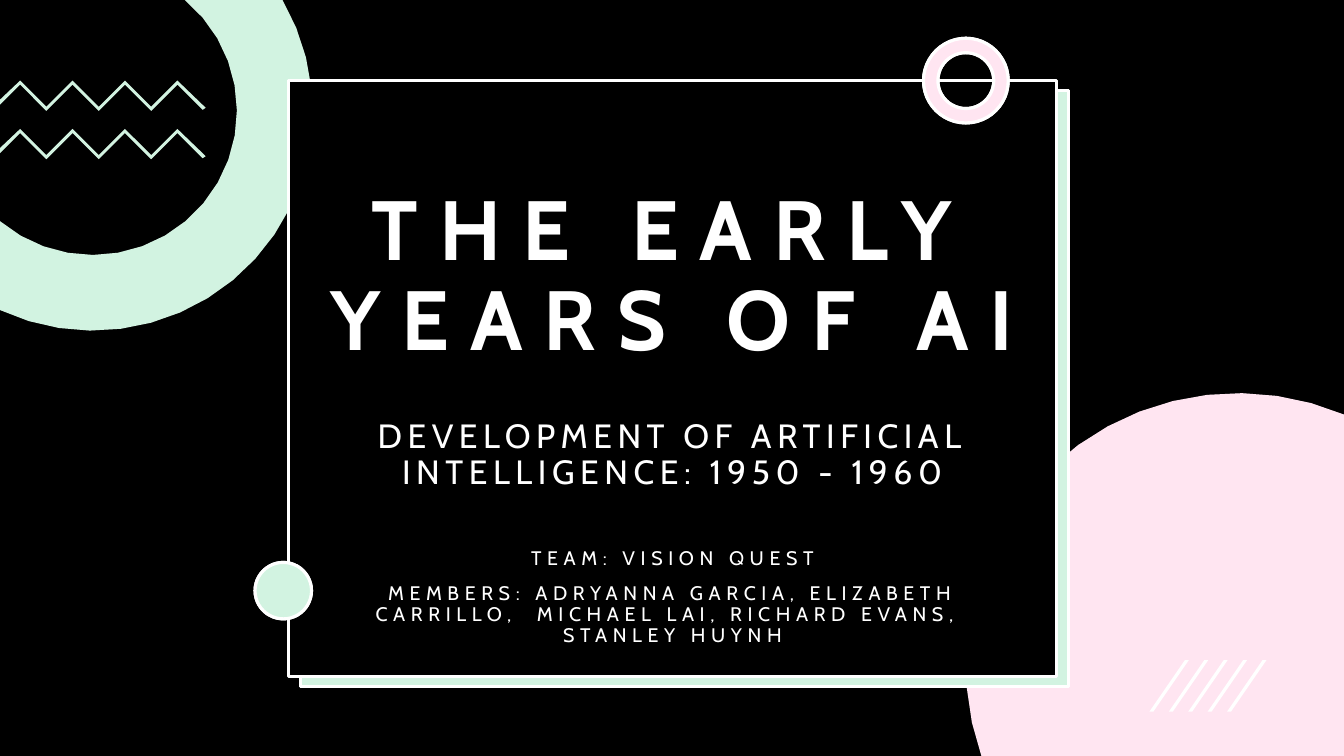
import math
from dataclasses import dataclass

import pptx
import pptx.dml.color
import pptx.enum.shapes
import pptx.enum.text
import pptx.oxml
import pptx.oxml.ns
import pptx.util

Inches = pptx.util.Inches
Pt = pptx.util.Pt
PRESET = pptx.enum.shapes.MSO_SHAPE
ANCHOR = pptx.enum.text.MSO_ANCHOR
SLIDE_WIDTH, SLIDE_HEIGHT = 13.33, 7.5


@dataclass(frozen=True)
class Theme:
    font: str = "Cabin"
    black: str = "000000"
    white: str = "FFFFFF"
    green: str = "21C46B"
    pink: str = "FF80BD"
    tint_percent: int = 20
    line_width: float = 2.25
    title_size: int = 60
    subtitle_size: int = 24
    team_size: int = 14
    title_tracking: int = 15
    text_tracking: int = 4


def arc(center_x, center_y, radius, start, end, steps=18):
    """Points along an arc; angles in degrees, clockwise from the right."""
    angles = [math.radians(start + (end - start) * i / steps) for i in range(steps + 1)]
    return [(center_x + radius * math.cos(angle), center_y + radius * math.sin(angle))
            for angle in angles]


def zigzag(top):
    """Outline of a zigzag ribbon that starts at the left edge."""
    turns = [(0.2 + 0.26 * i, top + 0.26 * (i % 2)) for i in range(7)]
    lower = [(x, y + 0.04) for x, y in reversed(turns)]
    return [(0, top + 0.19), *turns, (2.04, top + 0.27),
            (2.01, top + 0.29), *lower, (0, top + 0.24)]


class SlideBuilder:
    def __init__(self, slide, theme):
        self.slide = slide
        self.theme = theme
        background = slide.background.fill
        background.solid()
        background.fore_color.rgb = self.color(theme.black)

    def color(self, value):
        return pptx.dml.color.RGBColor.from_string(value)

    def paint(self, shape, fill, outlined=False, percent=100):
        shape.shadow.inherit = False
        shape.fill.solid()
        shape.fill.fore_color.rgb = self.color(fill)
        if percent < 100:
            color_element = shape.element.spPr.find(".//" + pptx.oxml.ns.qn("a:srgbClr"))
            color_element.append(pptx.oxml.parse_xml(
                '<a:alpha xmlns:a="http://schemas.openxmlformats.org/drawingml/2006/main"'
                f' val="{percent * 1000}"/>'))
        if outlined:
            shape.line.color.rgb = self.color(self.theme.white)
            shape.line.width = Pt(self.theme.line_width)
        else:
            shape.line.fill.background()

    def preset(self, kind, box, fill, outlined=False, percent=100, adjustment=None, parent=None):
        shapes = (parent or self.slide).shapes
        shape = shapes.add_shape(kind, *map(Inches, box))
        if adjustment is not None:
            shape.adjustments[0] = adjustment
        self.paint(shape, fill, outlined, percent)

    def outline(self, points, fill, percent=100):
        first, *others = [(Inches(x), Inches(y)) for x, y in points]
        builder = self.slide.shapes.build_freeform(*first)
        builder.add_line_segments(others, close=True)
        self.paint(builder.convert_to_shape(), fill, percent=percent)

    def layers(self, tint):
        """A white base and the translucent tint over it."""
        return (self.theme.white, 100), (tint, self.theme.tint_percent)

    def tinted_preset(self, kind, box, tint, adjustment=None):
        for fill, percent in self.layers(tint):
            self.preset(kind, box, fill, True, percent, adjustment)

    def tinted_outline(self, points, tint):
        for fill, percent in self.layers(tint):
            self.outline(points, fill, percent)

    def text(self, shape, box, lines, size, tracking, bold=False, before=10, anchor=ANCHOR.TOP):
        shape.left, shape.top, shape.width, shape.height = map(Inches, box)
        frame = shape.text_frame
        frame.text = "\n".join(lines)
        frame.word_wrap = True
        frame.auto_size = pptx.enum.text.MSO_AUTO_SIZE.NONE
        frame.vertical_anchor = anchor
        for paragraph in frame.paragraphs:
            paragraph.alignment = pptx.enum.text.PP_ALIGN.CENTER
            paragraph.line_spacing = 0.9
            paragraph.space_before = Pt(before)
            for run in paragraph.runs:
                run.font.name = self.theme.font
                run.font.size = Pt(size)
                run.font.bold = bold
                run.font.color.rgb = self.color(self.theme.white)
                run.font._element.set("spc", str(tracking * 100))

    def placeholder(self, index, *args, **options):
        shape = self.slide.placeholders[index]
        shape.element.getparent().append(shape.element)  # bring to front
        self.text(shape, *args, **options)

    def text_box(self, box, *args, **options):
        shape = self.slide.shapes.add_textbox(*map(Inches, box))
        self.text(shape, box, *args, **options)


def main():
    presentation = pptx.Presentation()
    presentation.slide_width = Inches(SLIDE_WIDTH)
    presentation.slide_height = Inches(SLIDE_HEIGHT)
    theme = Theme()
    builder = SlideBuilder(presentation.slides.add_slide(presentation.slide_layouts[0]), theme)

    # Backdrop, ring and disc cut by the slide edges
    builder.preset(PRESET.RECTANGLE, (0, 0, SLIDE_WIDTH, SLIDE_HEIGHT), theme.black)
    ring = arc(0.92, 1.1, 2.18, -30.3, 115) + arc(0.92, 1.1, 1.43, 130, -50.3)
    builder.tinted_outline(ring, theme.green)
    disc = arc(12.28, 6.6, 2.7, 160.5, 292.9) + [(SLIDE_WIDTH, SLIDE_HEIGHT)]
    builder.tinted_outline(disc, theme.pink)

    # Framed panel with its offset backing
    builder.tinted_preset(PRESET.RECTANGLE, (2.98, 0.9, 7.62, 5.91), theme.green)
    builder.preset(PRESET.RECTANGLE, (2.86, 0.8, 7.62, 5.91), theme.black, outlined=True)

    # Title and subtitle
    builder.placeholder(0, (3.16, 1.44, 7.02, 2.27), ["THE EARLY YEARS OF AI"],
                        theme.title_size, theme.title_tracking,
                        bold=True, before=0, anchor=ANCHOR.BOTTOM)
    builder.placeholder(1, (3.16, 4.11, 7.02, 1.26),
                        ["DEVELOPMENT OF ARTIFICIAL INTELLIGENCE: 1950 - 1960"],
                        theme.subtitle_size, theme.text_tracking)

    # Small ornaments
    for top in (0.8, 1.28):
        builder.tinted_outline(zigzag(top), theme.green)
    builder.tinted_preset(PRESET.DONUT, (9.16, 0.38, 0.84, 0.84), theme.pink, adjustment=0.17)
    builder.tinted_preset(PRESET.OVAL, (2.53, 5.58, 0.56, 0.56), theme.green)

    # Slanted strokes
    strokes = builder.slide.shapes.add_group_shape()
    for i in range(5):
        builder.preset(PRESET.PARALLELOGRAM, (11.4 + 0.77 / 4 * i, 6.55, 0.39, 0.51),
                       theme.white, adjustment=0.9, parent=strokes)

    # Team
    builder.text_box((3.16, 5.39, 7.02, 1.08),
                     ["TEAM: VISION QUEST",
                      "MEMBERS: ADRYANNA GARCIA, ELIZABETH CARRILLO,  MICHAEL LAI, "
                      "RICHARD EVANS,  STANLEY HUYNH"],
                     theme.team_size, theme.text_tracking)

    presentation.save("out.pptx")


if __name__ == "__main__":
    main()
